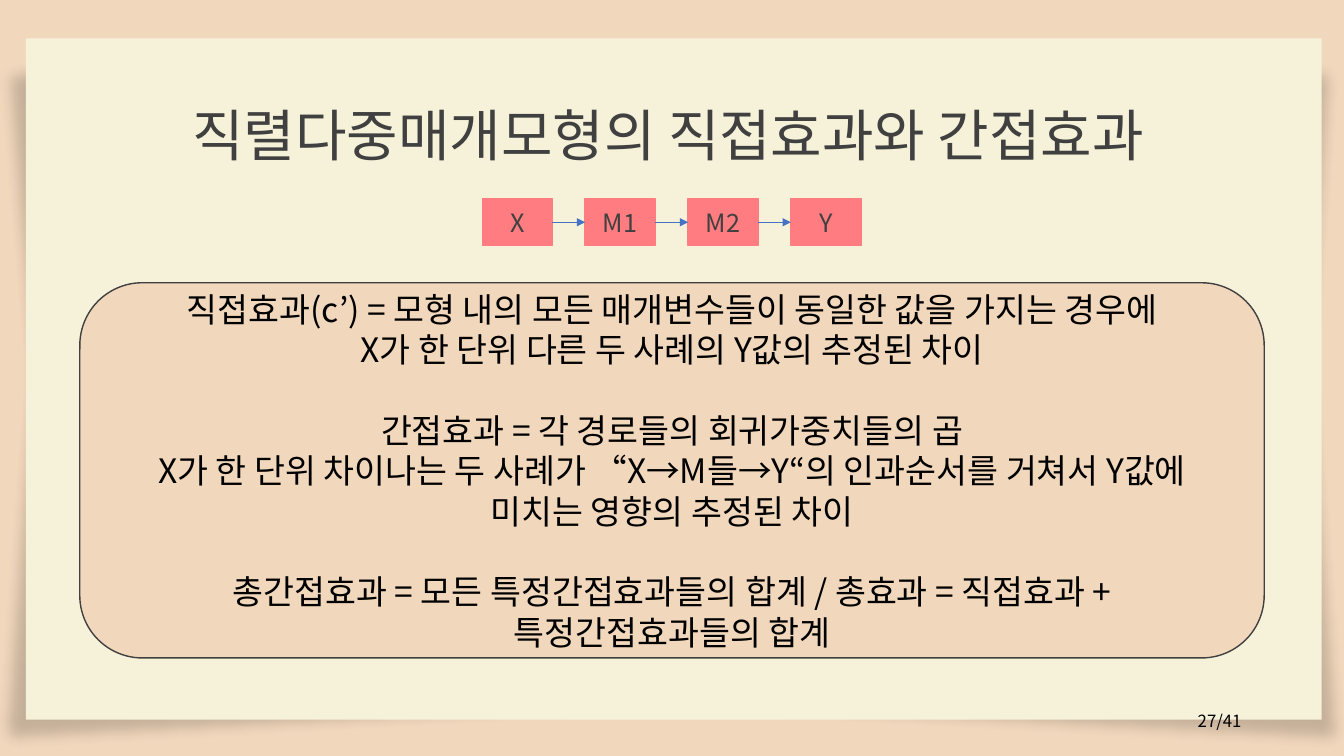
from dataclasses import dataclass

from lxml import etree
from pptx import Presentation
from pptx.dml.color import RGBColor
from pptx.enum import shapes, text
from pptx.oxml import ns
from pptx.util import Pt


@dataclass(frozen=True)
class Theme:
    font: str = "Noto Sans CJK KR"
    sand: str = "F1D7BC"
    paper: str = "F6F2D9"
    dark: str = "404040"
    black: str = "000000"
    node: str = "FF7C80"
    arrow: str = "4472C4"
    title_size: float = 40
    body_size: float = 24
    node_size: float = 18
    number_size: float = 12
    leading: float = 1.2


THEME = Theme()
ALIGN = text.PP_ALIGN
ANCHOR = text.MSO_ANCHOR
PRESET = shapes.MSO_SHAPE

EFFECTS = [
    "직접효과(c’) = 모형 내의 모든 매개변수들이 동일한 값을 가지는 경우에",
    "X가 한 단위 다른 두 사례의 Y값의 추정된 차이",
    "간접효과 = 각 경로들의 회귀가중치들의 곱",
    "X가 한 단위 차이나는 두 사례가 “X→M들→Y“의 인과순서를 거쳐서 Y값에 미치는 영향의 추정된 차이",
    "총간접효과 = 모든 특정간접효과들의 합계 / 총효과 = 직접효과 + 특정간접효과들의 합계",
]
GROUP_STARTS = (2, 4)


def rgb(color):
    return RGBColor.from_string(color)


def sub(parent, tag, **attrs):
    return etree.SubElement(parent, ns.qn(tag), attrs)


def write(sp, lines, size, color, align=ALIGN.CENTER, anchor=ANCHOR.MIDDLE):
    """Fill a shape with one paragraph per line, at a fixed line pitch."""
    tf = sp.text_frame
    tf.word_wrap = True
    tf.auto_size = text.MSO_AUTO_SIZE.NONE
    tf.vertical_anchor = anchor
    tf.text = "\n".join(lines)
    for p in tf.paragraphs:
        p.alignment = align
        p.line_spacing = Pt(size * THEME.leading)
        p.space_before = Pt(0)
        for r in p.runs:
            r.font.name = THEME.font
            r.font.size = Pt(size)
            r.font.color.rgb = rgb(color)
            sub(r.font._element, "a:ea", typeface=THEME.font)
    return tf


def add_panel(s, preset, box, fill, line=None):
    sp = s.shapes.add_shape(preset, *map(Pt, box))
    sp.shadow.inherit = False
    sp.fill.solid()
    sp.fill.fore_color.rgb = rgb(fill)
    if line:
        sp.line.color.rgb = rgb(line)
        sp.line.width = Pt(1)
    else:
        sp.line.fill.background()
    return sp


def add_paper(s, box):
    """Sheet of paper with a soft curled shadow showing past its edges."""
    x, y, w, h = box
    right, bottom = x + w, y + h
    outline = [(x + 4, y + 17), (x - 20, y + 19), (x - 2, y + 238),
               (x - 23, bottom + 22), (x + w / 2, bottom - 4),
               (right + 21, bottom + 22), (right + 1, y + 230),
               (right + 16, y + 16)]
    builder = s.shapes.build_freeform(*outline[0], scale=Pt(1))
    builder.add_line_segments(outline[1:], close=True)
    shade = builder.convert_to_shape()
    shade.shadow.inherit = False
    shade.line.fill.background()
    shade.fill.solid()
    shade.fill.fore_color.rgb = rgb(THEME.black)
    props = shade._element.spPr
    sub(props.find(".//" + ns.qn("a:srgbClr")), "a:alpha", val="19000")
    sub(props.find(ns.qn("a:effectLst")), "a:softEdge", rad=str(Pt(10)))
    add_panel(s, PRESET.RECTANGLE, box, THEME.paper)


def place_title(s, box, title):
    sp = s.shapes.title
    sp.left, sp.top, sp.width, sp.height = map(Pt, box)
    tf = write(sp, [title], THEME.title_size, THEME.dark, anchor=ANCHOR.BOTTOM)
    tf.margin_bottom = 0
    sp._element.getparent().append(sp._element)


def add_arrow(s, source, target):
    ends = (source.left, source.top, target.left, target.top)
    arrow = s.shapes.add_connector(shapes.MSO_CONNECTOR.STRAIGHT, *ends)
    arrow.begin_connect(source, 3)
    arrow.end_connect(target, 1)
    arrow.line.color.rgb = rgb(THEME.arrow)
    arrow.line.width = Pt(0.5)
    sub(arrow.line._get_or_add_ln(), "a:tailEnd", type="triangle")
    sub(arrow._element.spPr, "a:effectLst")


def add_chain(s, box, names, node_width=50):
    """Row of equally spaced nodes, each pointing to the next."""
    x, y, w, h = box
    pitch = (w - node_width) / (len(names) - 1)
    nodes = []
    for i, name in enumerate(names):
        node = add_panel(s, PRESET.RECTANGLE, (x + i * pitch, y, node_width, h),
                         THEME.node, THEME.node)
        write(node, [name], THEME.node_size, THEME.dark)
        nodes.append(node)
    for source, target in zip(nodes, nodes[1:]):
        add_arrow(s, source, target)


def add_definitions(s, box):
    sp = add_panel(s, PRESET.ROUNDED_RECTANGLE, box, THEME.sand, THEME.dark)
    tf = write(sp, EFFECTS, THEME.body_size, THEME.black)
    for i in GROUP_STARTS:
        tf.paragraphs[i].space_before = Pt(THEME.body_size * THEME.leading)


def add_page_number(s, box, number):
    sp = s.shapes.add_textbox(*map(Pt, box))
    write(sp, [number], THEME.number_size, THEME.black, ALIGN.RIGHT)


def build_effects_slide(prs):
    s = prs.slides.add_slide(prs.slide_layouts[5])
    s.background.fill.solid()
    s.background.fill.fore_color.rgb = rgb(THEME.sand)
    add_paper(s, (18.5, 27.5, 925.5, 486.5))
    place_title(s, (44.5, 16.5, 865.5, 103), "직렬다중매개모형의 직접효과와 간접효과")
    add_definitions(s, (57, 202, 846, 268))
    add_chain(s, (344.5, 142, 270.5, 33.5), ["X", "M1", "M2", "Y"])
    add_page_number(s, (678, 500.5, 216, 28.5), "27/41")


def main():
    prs = Presentation()
    prs.slide_width, prs.slide_height = Pt(960), Pt(540)
    build_effects_slide(prs)
    prs.save("out.pptx")


if __name__ == "__main__":
    main()
